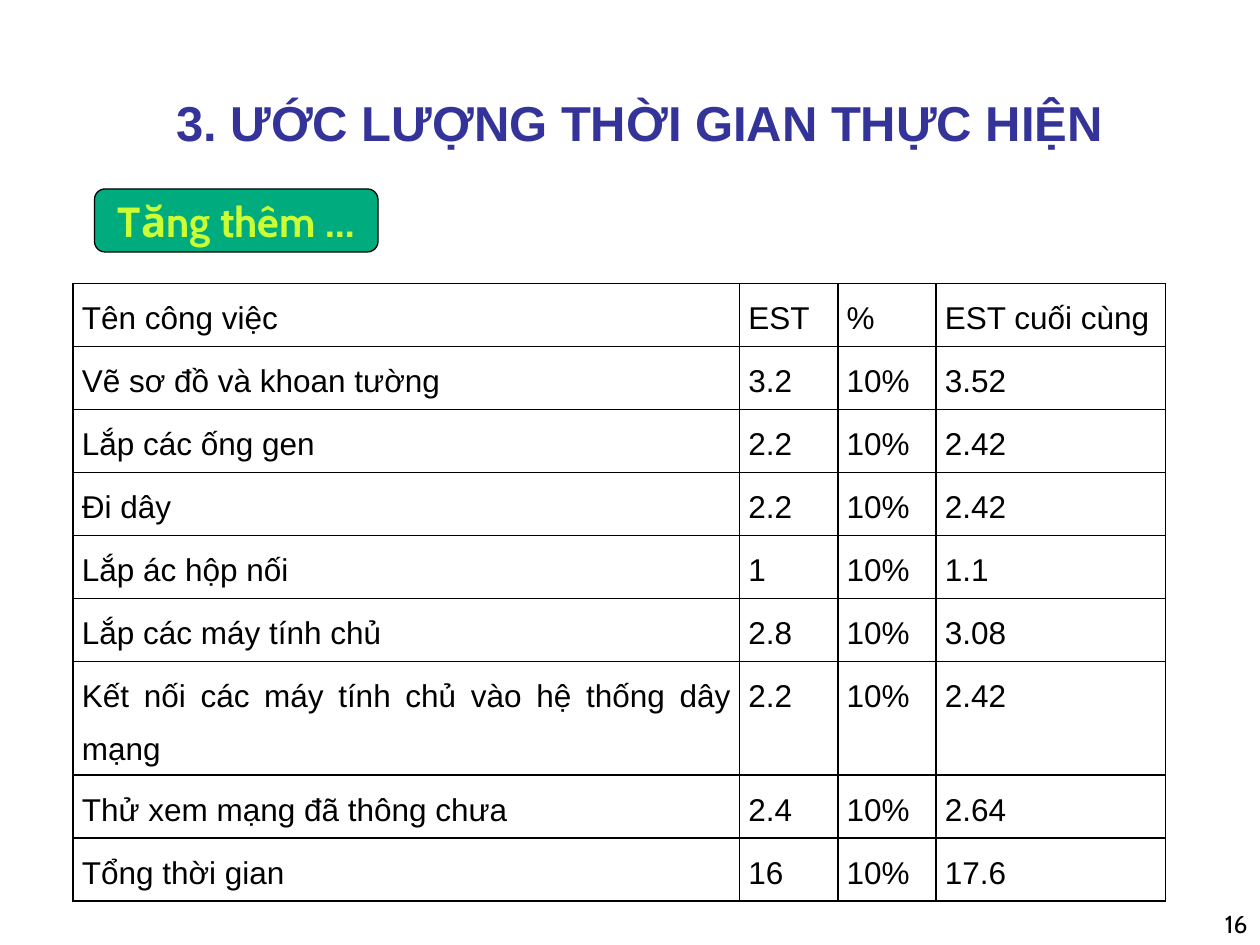
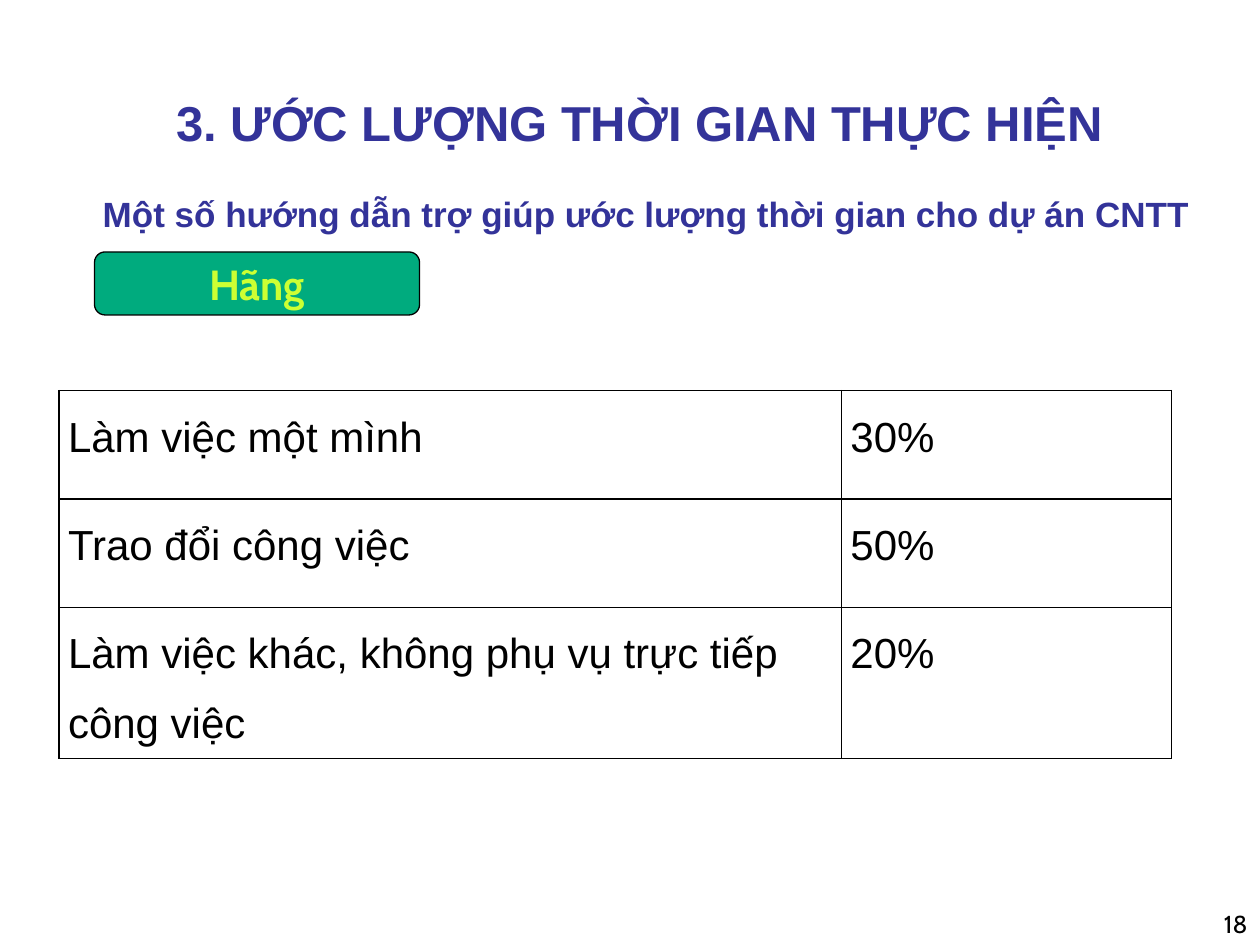
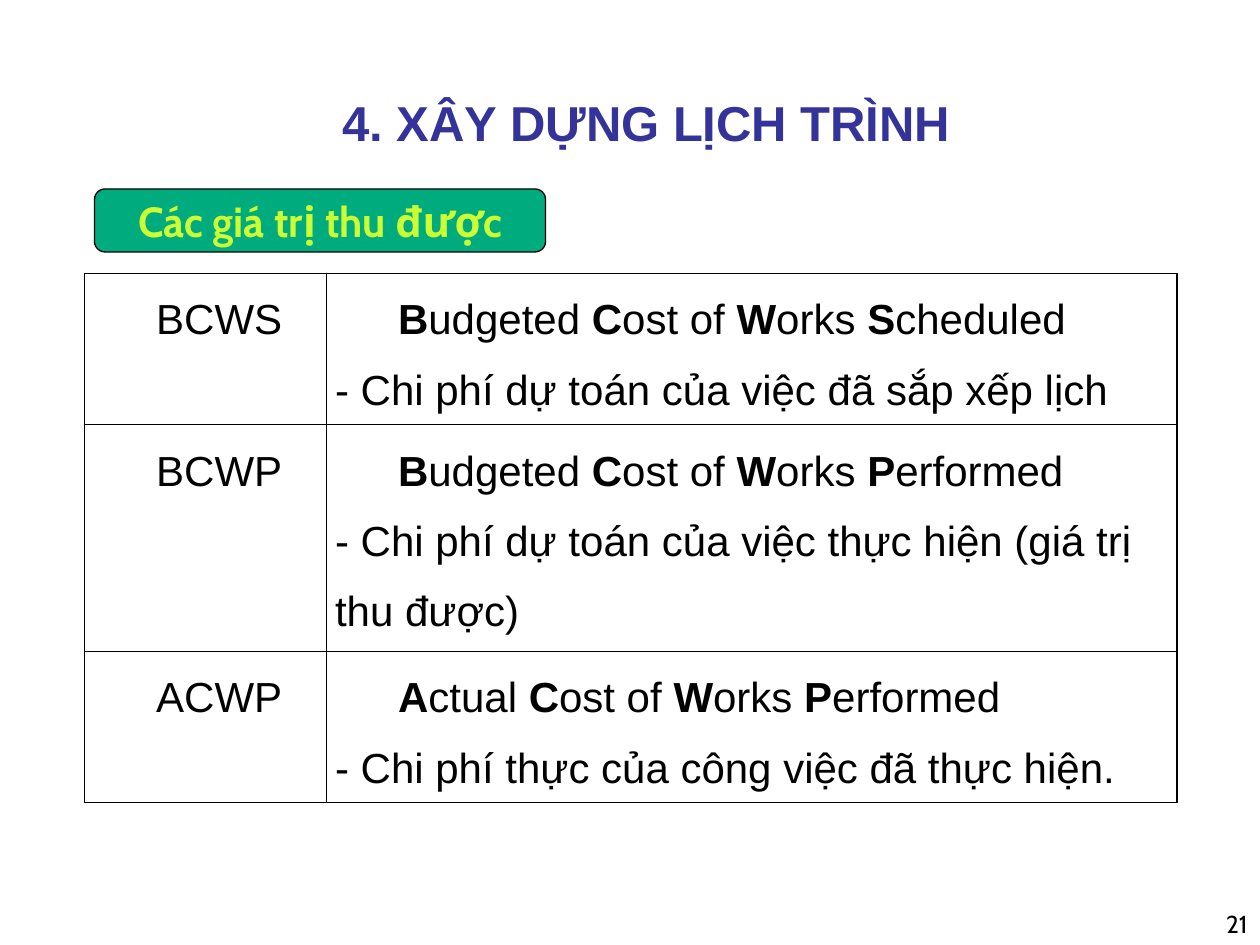
from lxml import etree
from pptx import Presentation
from pptx.dml.color import RGBColor
from pptx.enum.shapes import MSO_SHAPE
from pptx.enum.text import MSO_ANCHOR, MSO_AUTO_SIZE, PP_ALIGN
from pptx.oxml.ns import qn
from pptx.util import Inches, Pt

ROUNDED = MSO_SHAPE.ROUNDED_RECTANGLE
TOP, MIDDLE, BOTTOM = MSO_ANCHOR.TOP, MSO_ANCHOR.MIDDLE, MSO_ANCHOR.BOTTOM
LEFT, CENTER, RIGHT = PP_ALIGN.LEFT, PP_ALIGN.CENTER, PP_ALIGN.RIGHT
JUSTIFY = PP_ALIGN.JUSTIFY
NO_AUTOFIT = MSO_AUTO_SIZE.NONE
TITLE_ONLY = 5

NAVY, GREEN, LIME, BLACK = "333399", "00AB7E", "CCFF33", "000000"
TEXT_FONT, LABEL_FONT = "Arial", "Cabin"
BORDER_SIDES = ("a:lnL", "a:lnR", "a:lnT", "a:lnB")

ESTIMATE_TITLE = "3. ƯỚC LƯỢNG THỜI GIAN THỰC HIỆN "
SCHEDULE_TITLE = "4. XÂY DỰNG LỊCH TRÌNH"

TASKS = [
    ("Tên công việc", "EST", "%", "EST cuối cùng"),
    ("Vẽ sơ đồ và khoan tường", "3.2", "10%", "3.52"),
    ("Lắp các ống gen", "2.2", "10%", "2.42"),
    ("Đi dây", "2.2", "10%", "2.42"),
    ("Lắp ác hộp nối", "1", "10%", "1.1"),
    ("Lắp các máy tính chủ", "2.8", "10%", "3.08"),
    ("Kết nối các máy tính chủ vào hệ thống dây mạng", "2.2", "10%", "2.42"),
    ("Thử xem mạng đã thông chưa", "2.4", "10%", "2.64"),
    ("Tổng thời gian", "16", "10%", "17.6"),
]
TIME_SHARES = [
    ("Làm việc một mình", "30%"),
    ("Trao đổi công việc", "50%"),
    ("Làm việc khác, không phụ vụ trực tiếp công việc", "20%"),
]
# In each expansion the parts between bars are bold and regular in turn.
EARNED_VALUES = [
    ("BCWS", "B|udgeted |C|ost of |W|orks |S|cheduled",
     "- Chi phí dự toán của việc đã sắp xếp lịch"),
    ("BCWP", "B|udgeted |C|ost of |W|orks |P|erformed",
     "- Chi phí dự toán của việc thực hiện (giá trị thu được)"),
    ("ACWP", "A|ctual |C|ost of |W|orks |P|erformed",
     "- Chi phí thực của công việc đã thực hiện."),
]


def rgb(color):
    return RGBColor.from_string(color)


def add_span(para, text, size, color=BLACK, font=TEXT_FONT, bold=False):
    span = para.add_run()
    span.text = text
    span.font.size = Pt(size)
    span.font.name = font
    span.font.bold = bold
    span.font.color.rgb = rgb(color)


def set_line(frame, text, size, color, font, bold, align, anchor):
    """Give a text frame its single line of text."""
    frame.auto_size = NO_AUTOFIT
    frame.vertical_anchor = anchor
    para = frame.paragraphs[0]
    para.alignment = align
    add_span(para, text, size, color, font, bold)


def add_text(page, place, text, size, color, font, bold, align):
    box = page.shapes.add_textbox(*map(Inches, place))
    box.text_frame.word_wrap = True
    set_line(box.text_frame, text, size, color, font, bold, align, BOTTOM)


def add_page(deck, title, number):
    page = deck.slides.add_slide(deck.slide_layouts[TITLE_ONLY])
    heading = page.shapes.title
    heading.left, heading.top = Inches(0.42), Inches(0.33)
    heading.width, heading.height = Inches(9.42), Inches(0.92)
    set_line(heading.text_frame, title, 28, NAVY, TEXT_FONT, True, CENTER, BOTTOM)
    add_text(page, (7.92, 7, 2.08, 0.5), number, 14, BLACK, LABEL_FONT, False, RIGHT)
    return page


def add_label(page, text, top, width):
    label = page.shapes.add_shape(
        ROUNDED, Inches(0.75), Inches(top), Inches(width), Inches(0.5))
    label.shadow.inherit = False
    label.fill.solid()
    label.fill.fore_color.rgb = rgb(GREEN)
    label.line.color.rgb = rgb(BLACK)
    label.line.width = Pt(0.75)
    label.text_frame.word_wrap = False
    set_line(label.text_frame, text, 24, LIME, LABEL_FONT, True, CENTER, MIDDLE)


def add_borders(cell):
    properties = cell._tc.get_or_add_tcPr()
    for position, side in enumerate(BORDER_SIDES):
        line = etree.Element(qn(side), w=str(Pt(1)))
        fill = etree.SubElement(line, qn("a:solidFill"))
        etree.SubElement(fill, qn("a:srgbClr"), val=BLACK)
        properties.insert(position, line)


def add_grid(page, left, top, widths, heights):
    """Add an empty bordered table and return it."""
    frame = page.shapes.add_table(
        len(heights), len(widths), Inches(left), Inches(top),
        Inches(sum(widths)), Inches(sum(heights)))
    grid = frame.table
    grid.first_row = grid.horz_banding = False
    for column, width in zip(grid.columns, widths):
        column.width = Inches(width)
    for row, height in zip(grid.rows, heights):
        row.height = Inches(height)
    for cell in grid.iter_cells():
        cell.fill.background()
        cell.margin_left = cell.margin_right = Inches(0.07)
        cell.margin_top = cell.margin_bottom = 0
        cell.vertical_anchor = TOP
        add_borders(cell)
    return grid


def format_para(para, align=LEFT, indent=0):
    para.alignment = align
    para.line_spacing = 1.5
    if indent:
        properties = para._p.get_or_add_pPr()
        properties.set("marL", str(Inches(indent)))
        properties.set("indent", "0")


def fill_grid(grid, rows, size, align):
    texts = (text for row in rows for text in row)
    for cell, text in zip(grid.iter_cells(), texts):
        para = cell.text_frame.paragraphs[0]
        format_para(para, align)
        add_span(para, text, size)


def fill_earned_values(grid):
    for row, (code, expansion, meaning) in enumerate(EARNED_VALUES):
        code_para = grid.cell(row, 0).text_frame.paragraphs[0]
        format_para(code_para, indent=0.5)
        add_span(code_para, code, 24)

        frame = grid.cell(row, 1).text_frame
        expansion_para = frame.paragraphs[0]
        format_para(expansion_para, indent=0.5)
        for position, part in enumerate(expansion.split("|")):
            add_span(expansion_para, part, 24, bold=position % 2 == 0)
        meaning_para = frame.add_paragraph()
        format_para(meaning_para)
        add_span(meaning_para, meaning, 24)


def main():
    deck = Presentation()
    deck.slide_width, deck.slide_height = Inches(10), Inches(7.5)

    page = add_page(deck, ESTIMATE_TITLE, "16")
    add_label(page, "Tăng thêm …", 1.5, 2.25)
    heights = [0.5] * 6 + [0.9] + [0.5] * 2
    grid = add_grid(page, 0.58, 2.25, [5.29, 0.78, 0.78, 1.82], heights)
    fill_grid(grid, TASKS, 18, JUSTIFY)

    page = add_page(deck, ESTIMATE_TITLE, "18")
    add_label(page, "Hãng", 2, 2.58)
    grid = add_grid(page, 0.47, 3.1, [6.21, 2.62], [0.86, 0.86, 1.2])
    fill_grid(grid, TIME_SHARES, 24, LEFT)
    add_text(page, (0.42, 1.33, 9.42, 0.58),
             "Một số hướng dẫn trợ giúp ước lượng thời gian cho dự án CNTT",
             20, NAVY, TEXT_FONT, True, CENTER)

    page = add_page(deck, SCHEDULE_TITLE, "21")
    add_label(page, "Các giá trị thu được", 1.5, 3.58)
    grid = add_grid(page, 0.67, 2.17, [1.92, 6.75], [1.2, 1.8, 1.2])
    fill_earned_values(grid)

    deck.save("out.pptx")


if __name__ == "__main__":
    main()
